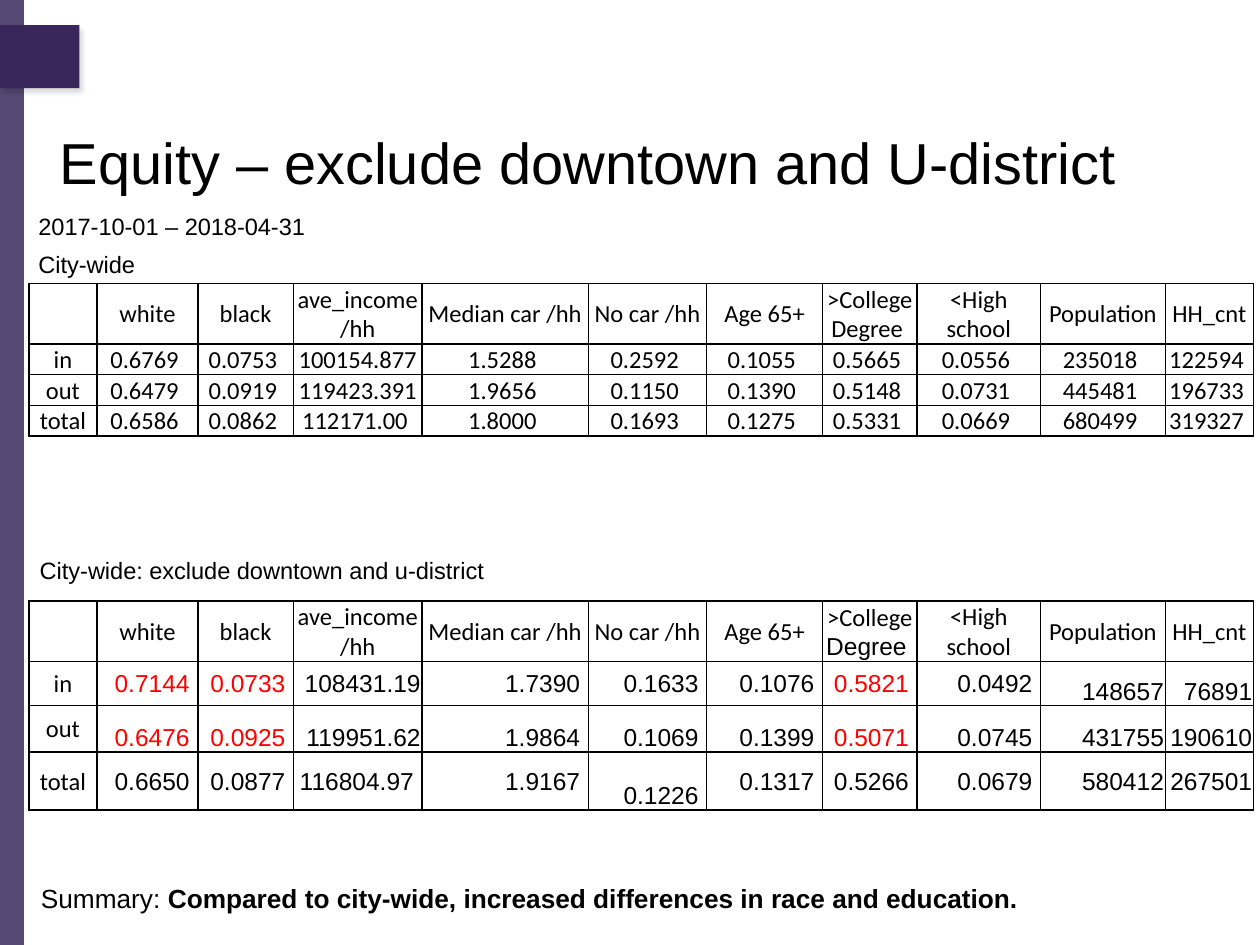
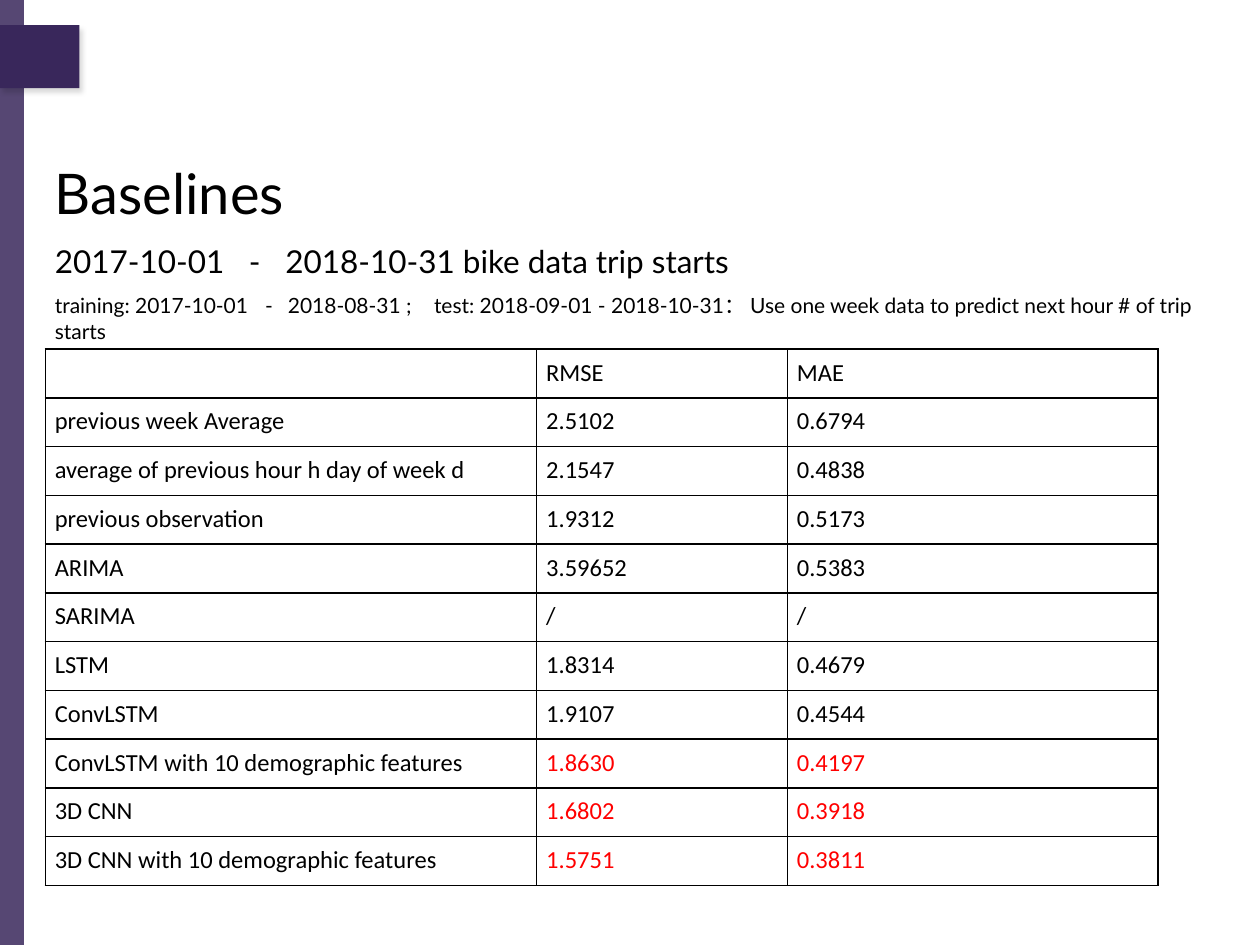
import pptx
import pptx.util
import pptx.oxml
import pptx.oxml.ns
from pptx.dml.color import RGBColor
from pptx.enum.shapes import MSO_SHAPE
from pptx.enum.text import MSO_ANCHOR, MSO_AUTO_SIZE, PP_ALIGN

PURPLE = RGBColor(0x39, 0x27, 0x5B)
BLACK = RGBColor(0, 0, 0)
RED = RGBColor(0xFF, 0, 0)

# The slide is a grid of 100 columns by 75 rows
COLS, ROWS = 100, 75
UNIT = pptx.util.Inches(0.1)
NS = pptx.oxml.ns.nsdecls("a")

HEAD = ("|white|black|ave_income /hh|Median car /hh|No car /hh|Age 65+|"
        ">College\nDegree |<High school|Population|HH_cnt")
CITY = [
    HEAD,
    "in|0.6769 |0.0753 |100154.877|1.5288 |0.2592 |0.1055 |0.5665 |0.0556 |235018 |122594 ",
    "out|0.6479 |0.0919 |119423.391|1.9656 |0.1150 |0.1390 |0.5148 |0.0731 |445481 |196733 ",
    "total|0.6586 |0.0862 |112171.00 |1.8000 |0.1693 |0.1275 |0.5331 |0.0669 |680499 |319327 ",
]
OUTER = [
    HEAD,
    "in|0.7144 |0.0733 |108431.19|1.7390 |0.1633 |0.1076 |0.5821 |0.0492 |148657|76891",
    "out|0.6476 |0.0925 |119951.62|1.9864 |0.1069 |0.1399 |0.5071 |0.0745 |431755|190610",
    "total|0.6650 |0.0877 |116804.97 |1.9167 |0.1226 |0.1317 |0.5266 |0.0679 |580412|267501",
]
SCORES = [
    "|RMSE|MAE",
    "previous week Average|2.5102|0.6794",
    "average of previous hour h day of week d|2.1547|0.4838",
    "previous observation|1.9312|0.5173",
    "ARIMA|3.59652|0.5383",
    "SARIMA|/|/",
    "LSTM|1.8314|0.4679",
    "ConvLSTM|1.9107|0.4544",
    "ConvLSTM with 10 demographic features|1.8630|0.4197",
    "3D CNN|1.6802|0.3918",
    "3D CNN with 10 demographic features|1.5751|0.3811",
]
EQUITY_COLS = [5.4, 8, 7.6, 10.2, 13.2, 9.4, 9.2, 7.5, 9.8, 9.9, 7]


def span(*units):
    return [round(UNIT * n) for n in units]


def style(para, size, font, color=BLACK):
    for run in para.runs:
        run.font.size = pptx.util.Pt(size)
        run.font.name = font
        run.font.color.rgb = color


def inset(item, side, top, base):
    item.margin_left = item.margin_right = span(side)[0]
    item.margin_top, item.margin_bottom = span(top, base)


# Shared band and tab, kept on the layout behind the content
def block(slide, layout, place, depth):
    box = slide.shapes.add_shape(MSO_SHAPE.RECTANGLE, *span(*place))
    box.shadow.inherit = False
    box.fill.solid()
    box.fill.fore_color.rgb = PURPLE
    box.line.fill.background()
    layout.shapes.element.insert(depth, box.element)
    return box.element.spPr


def frame(slide, layout):
    band = block(slide, layout, (0, 0, 1.9, ROWS), 2)
    tint = band.find(".//" + pptx.oxml.ns.qn("a:srgbClr"))
    tint.append(pptx.oxml.parse_xml(f'<a:alpha {NS} val="85000"/>'))
    tab = block(slide, layout, (0, 2, 6.3, 5), 3)
    tab.find(pptx.oxml.ns.qn("a:effectLst")).append(pptx.oxml.parse_xml(
        f'<a:outerShdw {NS} blurRad="38100" dist="38100" dir="3600000">'
        '<a:srgbClr val="000000"><a:alpha val="15000"/></a:srgbClr></a:outerShdw>'))


# Text
def title(slide, text, left, top, size, font):
    box = slide.shapes.title
    box.left, box.top, box.width, box.height = span(left, top, 86.2, 10.9)
    text_frame = box.text_frame
    text_frame.text = text
    text_frame.auto_size = MSO_AUTO_SIZE.NONE
    text_frame.vertical_anchor = MSO_ANCHOR.MIDDLE
    inset(text_frame, 0.75, 0.4, 0.4)
    para = text_frame.paragraphs[0]
    para.alignment = PP_ALIGN.LEFT
    para.line_spacing = 0.9
    style(para, size, font)


def label(slide, place, text, size=13.5, font="Arial"):
    text_frame = slide.shapes.add_textbox(*span(*place)).text_frame
    text_frame.word_wrap = True
    inset(text_frame, 0.75, 0.4, 0.4)
    text_frame.text = text
    style(text_frame.paragraphs[0], size, font)
    return text_frame


def stops(para, *marks):
    tabs = "".join(f'<a:tab pos="{pos}" algn="l"/>' for pos in span(*marks))
    para._p.get_or_add_pPr().append(
        pptx.oxml.parse_xml(f"<a:tabLst {NS}>{tabs}</a:tabLst>"))


# Tables
def border(cell):
    props = cell._tc.get_or_add_tcPr()
    for spot, side in enumerate("LRTB"):
        props.insert(spot, pptx.oxml.parse_xml(
            f'<a:ln{side} {NS} w="12700"><a:solidFill><a:srgbClr val="000000"/>'
            f"</a:solidFill></a:ln{side}>"))


def table(slide, left, top, cols, rows, data, dress):
    grid = slide.shapes.add_table(
        len(rows), len(cols), *span(left, top, sum(cols), sum(rows))).table
    grid.first_row = grid.horz_banding = False
    for col, width in zip(grid.columns, span(*cols)):
        col.width = width
    for row, height in zip(grid.rows, span(*rows)):
        row.height = height
    for r, line in enumerate(data):
        for c, text in enumerate(line.split("|")):
            cell = grid.cell(r, c)
            cell.text_frame.text = text
            cell.fill.background()
            border(cell)
            if text:
                dress(cell, r, c)
            else:
                inset(cell, 0, 0, 0)


def dress(cell, anchor, align, font="Calibri", color=BLACK):
    inset(cell, 0.1, 0.1, 0)
    cell.vertical_anchor = anchor
    for para in cell.text_frame.paragraphs:
        para.alignment = align
        style(para, 14, font, color)


def city(cell, r, c):
    low = r and c
    dress(cell, MSO_ANCHOR.BOTTOM if low else MSO_ANCHOR.MIDDLE, PP_ALIGN.CENTER)


def outer(cell, r, c):
    if not (r and c):
        dress(cell, MSO_ANCHOR.MIDDLE, PP_ALIGN.CENTER)
        if c == 7:
            style(cell.text_frame.paragraphs[1], 14, "Arial")
        return
    low = r == 2 or (r == 1 and c > 8) or (r == 3 and c == 5)
    dress(cell, MSO_ANCHOR.BOTTOM if low else MSO_ANCHOR.MIDDLE, PP_ALIGN.RIGHT,
          "Arial", RED if r < 3 and c in (1, 2, 7) else BLACK)


def score(cell, r, c):
    inset(cell, 0.75, 0.7, 0.7)
    style(cell.text_frame.paragraphs[0], 14, "Calibri",
          RED if r > 7 and c else BLACK)


# Slides
def equity(slide):
    title(slide, "Equity – exclude downtown and U-district", 4, 7.7, 33, "Arial")
    label(slide, (2.3, 16.4, 28.5, 3), "2017-10-01 – 2018-04-31")
    label(slide, (2.3, 19.4, 22.8, 3), "City-wide")
    table(slide, 2.3, 22.5, EQUITY_COLS, [4.8, 2.4, 2.4, 2.4], CITY, city)
    label(slide, (2.4, 43.7, 47.9, 2.8), "City-wide: exclude downtown and u-district")
    table(slide, 2.3, 47.7, EQUITY_COLS, [4.8, 3.5, 3.7, 4.6], OUTER, outer)
    para = label(slide, (2.5, 69.6, 84.6, 3.3), "Summary: ", 15).paragraphs[0]
    run = para.add_run()
    run.text = "Compared to city-wide, increased differences in race and education."
    run.font.bold = True
    style(para, 15, "Arial")


def models(slide):
    title(slide, "Baselines", 3.6, 10.1, 32, "Lato")
    body = label(slide, (3.6, 18.8, 95.2, 8.6),
                 "2017-10-01\t-\t2018-10-31 bike data trip starts", 18, "Lato")
    stops(body.paragraphs[0], 15.4, 18.3)
    para = body.add_paragraph()
    para.text = ("training: 2017-10-01\t-\t2018-08-31 ;\ttest: 2018-09-01 - 2018-10-31： "
                 "Use one week data to predict next hour # of trip starts")
    para.space_before = pptx.util.Pt(7.5)
    stops(para, 16.7, 18.5, 30.1)
    style(para, 12, "Lato")
    table(slide, 3.6, 27.7, [39, 19.9, 29.4], [42.6 / 11] * 11, SCORES, score)


def main():
    deck = pptx.Presentation()
    deck.slide_width, deck.slide_height = span(COLS, ROWS)
    layout = deck.slide_layouts[5]
    first, second = [deck.slides.add_slide(layout) for _ in range(2)]
    frame(first, layout)
    equity(first)
    models(second)
    deck.save("out.pptx")


if __name__ == "__main__":
    main()
